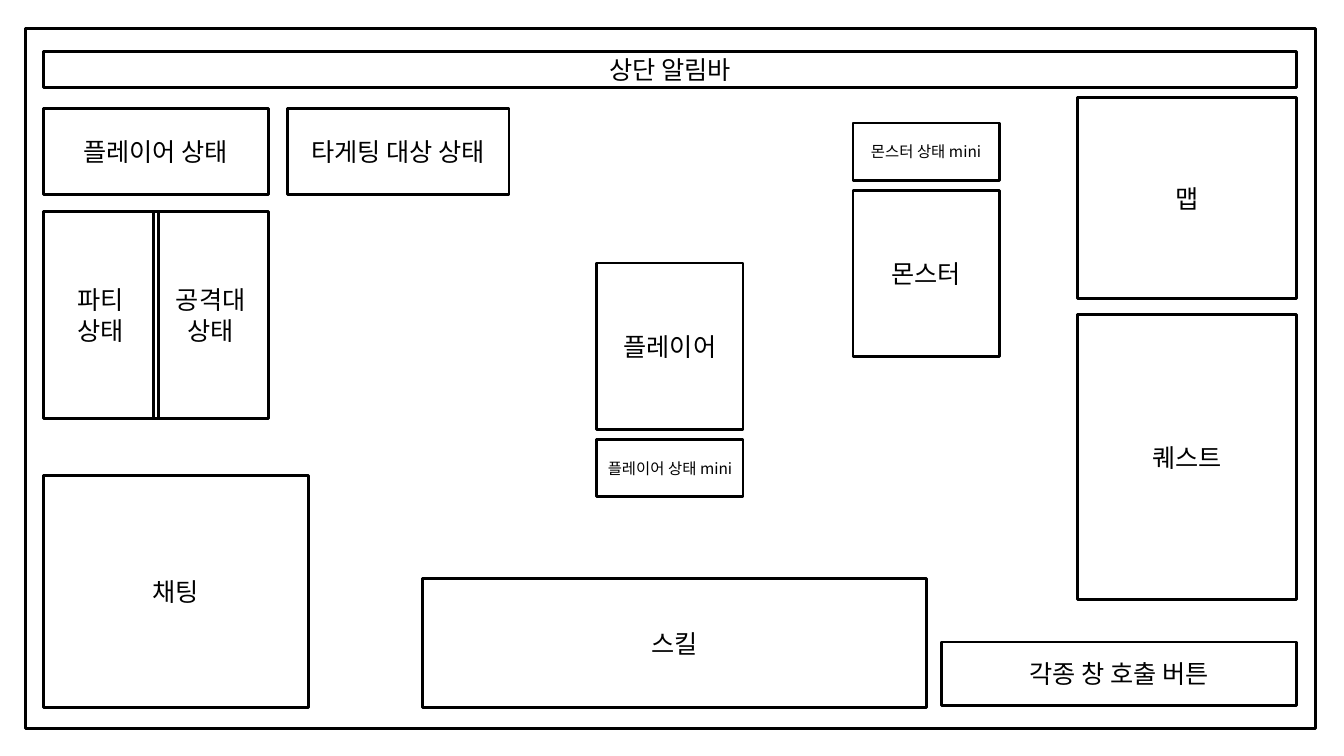
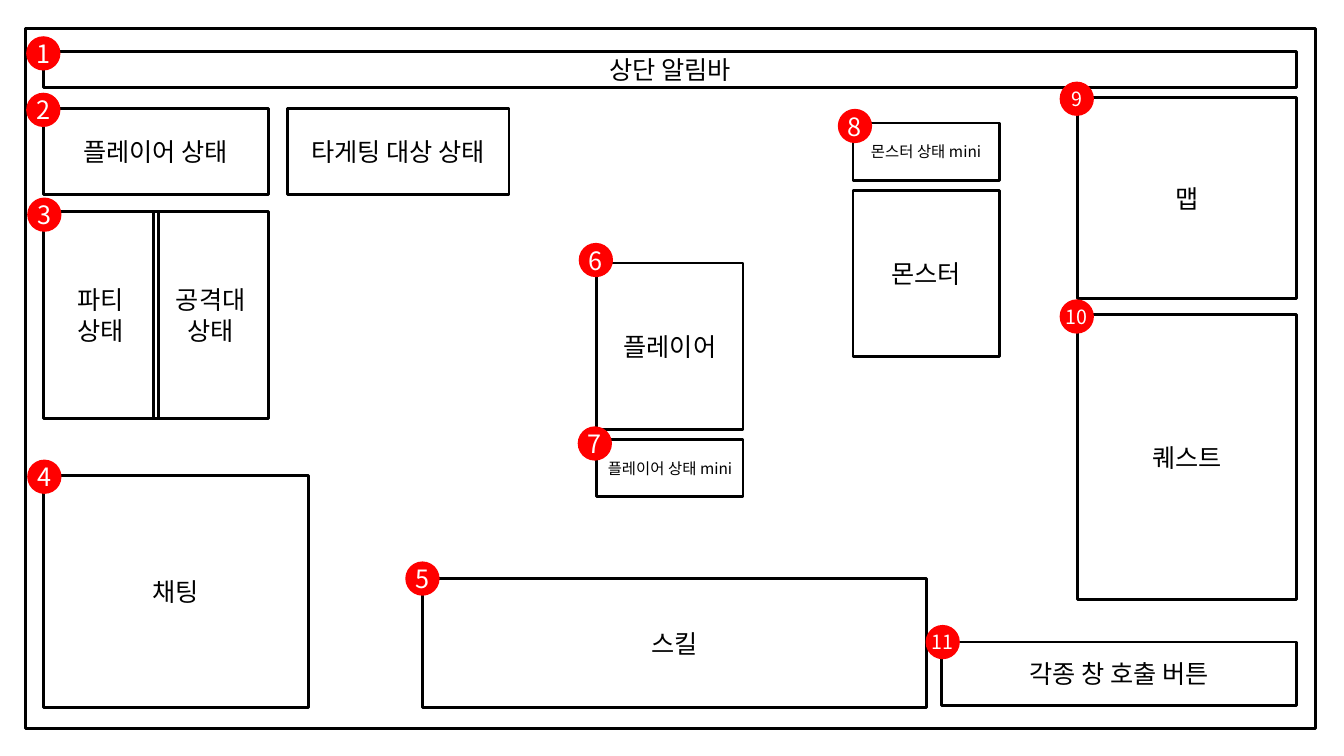
from lxml import etree
from pptx import Presentation
from pptx.dml.color import RGBColor
from pptx.enum.shapes import MSO_SHAPE
from pptx.enum.text import MSO_ANCHOR, PP_ALIGN
from pptx.oxml.ns import qn
from pptx.util import Inches, Pt

RECTANGLE = MSO_SHAPE.RECTANGLE
OVAL = MSO_SHAPE.OVAL
MIDDLE = MSO_ANCHOR.MIDDLE
CENTER = PP_ALIGN.CENTER

# Shared style
FONT = "Noto Sans CJK KR"
BLACK, WHITE, RED = "000000", "FFFFFF", "FF0000"
LINE_WIDTH = 2
TEXT_SIZE, MINI_SIZE, SMALL_BADGE_SIZE = 18, 11, 14
BADGE_DIAMETER = 0.34

# Screen layout: left, top, width, height
SCREEN = (0.25, 0.28, 12.8, 6.95)
LEFT_EDGE, PLAYER_LEFT, MONSTER_LEFT, MAP_LEFT = 0.43, 5.92, 8.46, 10.69
PANELS = [
    ("플레이어", PLAYER_LEFT, 2.61, 1.45, 1.65),
    ("스킬", 4.19, 5.74, 5, 1.28),
    ("맵", MAP_LEFT, 0.97, 2.17, 1.99),
    ("퀘스트", MAP_LEFT, 3.12, 2.17, 2.83),
    ("플레이어 상태", LEFT_EDGE, 1.08, 2.23, 0.85),
    ("상단 알림바", LEFT_EDGE, 0.51, 12.43, 0.36),
    ("채팅", LEFT_EDGE, 4.72, 2.63, 2.3),
    ("각종 창 호출 버튼", 9.34, 6.37, 3.52, 0.63),
    ("파티\n상태", LEFT_EDGE, 2.1, 1.14, 2.05),
    ("공격대\n상태", 1.52, 2.1, 1.14, 2.05),
    ("타게팅 대상 상태", 2.85, 1.08, 2.2, 0.85),
    ("플레이어 상태 mini", PLAYER_LEFT, 4.36, 1.45, 0.57),
    ("몬스터", MONSTER_LEFT, 1.89, 1.45, 1.65),
    ("몬스터 상태 mini", MONSTER_LEFT, 1.22, 1.45, 0.57),
]

# Badge positions in numerical order: left, top
BADGES = [
    (0.26, 0.36), (0.26, 0.92), (0.27, 1.96), (0.27, 4.56),
    (4.02, 5.57), (5.74, 2.41), (5.73, 4.23), (8.31, 1.08),
    (10.51, 0.81), (10.51, 2.97), (9.18, 6.2),
]


def color(value):
    return RGBColor.from_string(value)


def write_text(box, text, size=TEXT_SIZE, ink=BLACK, inset=0.0):
    frame = box.text_frame
    frame.word_wrap = True
    frame.vertical_anchor = MIDDLE
    if inset is not None:
        frame.margin_left = frame.margin_right = Inches(inset)
        frame.margin_top = frame.margin_bottom = Inches(inset)
    for index, line in enumerate(text.split("\n")):
        para = frame.add_paragraph() if index else frame.paragraphs[0]
        para.alignment = CENTER
        span = para.add_run()
        span.text = line
        span.font.size = Pt(size)
        span.font.name = FONT
        span.font.color.rgb = color(ink)
        east_asian = etree.SubElement(span.font._element, qn("a:ea"))
        east_asian.set("typeface", FONT)


class Wireframe:
    def __init__(self):
        self.deck = Presentation()
        self.deck.slide_width = Inches(13.33)
        self.deck.slide_height = Inches(7.5)
        self.page = None

    def add_page(self):
        self.page = self.deck.slides.add_slide(self.deck.slide_layouts[6])

    def shape(self, kind, left, top, width, height):
        box = self.page.shapes.add_shape(
            kind, Inches(left), Inches(top), Inches(width), Inches(height))
        box.shadow.inherit = False
        return box

    def outline(self, *area):
        box = self.shape(RECTANGLE, *area)
        box.fill.background()
        box.line.color.rgb = color(BLACK)
        box.line.width = Pt(LINE_WIDTH)
        return box

    def screen(self, inset=None):
        self.outline(*SCREEN)
        for label, *area in PANELS:
            size = MINI_SIZE if label.endswith("mini") else TEXT_SIZE
            write_text(self.outline(*area), label, size=size, inset=inset)

    def badge(self, number, left, top):
        box = self.shape(OVAL, left, top, BADGE_DIAMETER, BADGE_DIAMETER)
        box.fill.solid()
        box.fill.fore_color.rgb = color(RED)
        box.line.fill.background()
        size = TEXT_SIZE if number < 9 else SMALL_BADGE_SIZE
        write_text(box, str(number), size=size, ink=WHITE)


wireframe = Wireframe()

# Slide 1: game screen layout with default text margins
wireframe.add_page()
wireframe.screen()

# Slide 2: the same layout with numbered areas
wireframe.add_page()
wireframe.screen(inset=0)
for number, position in enumerate(BADGES, start=1):
    wireframe.badge(number, *position)

wireframe.deck.save("out.pptx")
